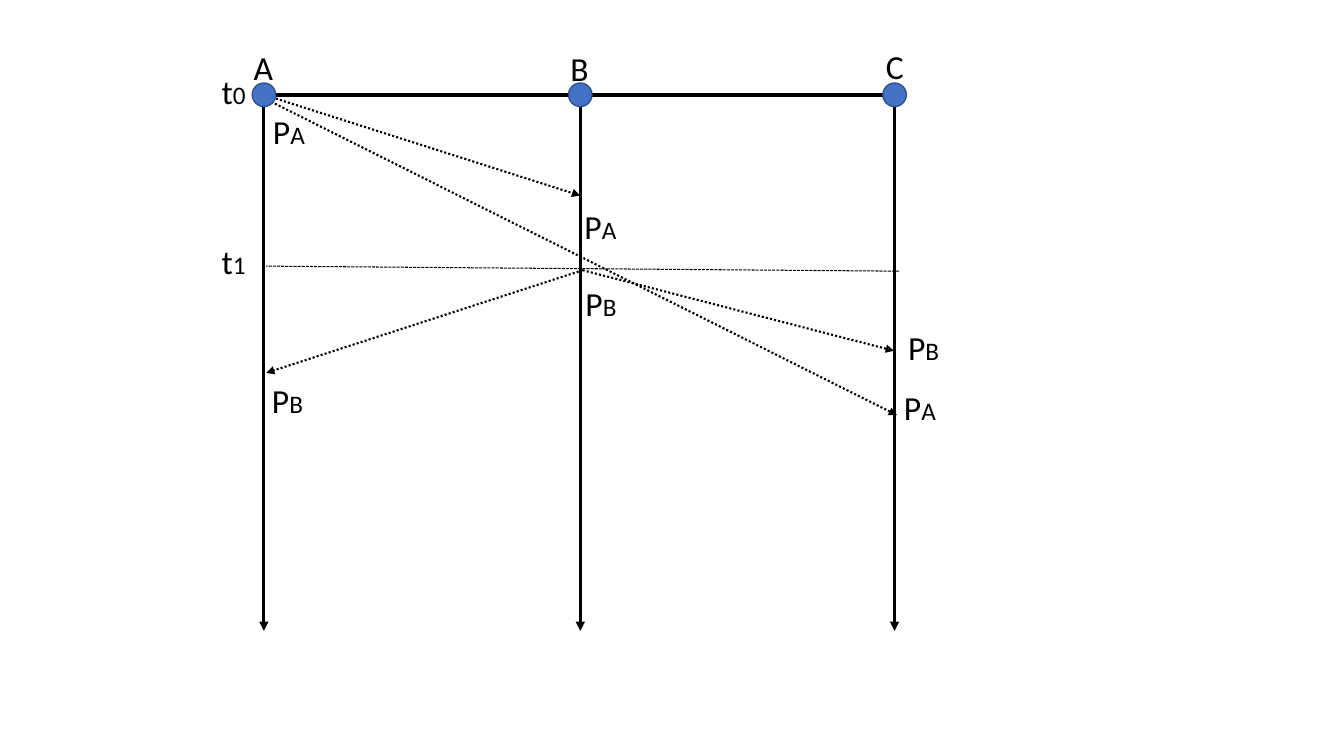
import pptx
import pptx.dml.color
import pptx.enum.dml
import pptx.enum.shapes
import pptx.enum.text
import pptx.util
from pptx.oxml.ns import qn
from lxml import etree

Pt = pptx.util.Pt
DASH = pptx.enum.dml.MSO_LINE
BLACK = pptx.dml.color.RGBColor(0x00, 0x00, 0x00)
NODE_FILL = pptx.dml.color.RGBColor(0x44, 0x72, 0xC4)
NODE_LINE = pptx.dml.color.RGBColor(0x2F, 0x52, 0x8F)

# Time axes of the three stations, in points
STATION_X = {"A": 188.5, "B": 414.5, "C": 639}
START_Y, END_Y = 67.7, 450.7
NODE_SIZE = 16.8

# Station name: left and top of its label
STATION_LABELS = {"A": (174.2, 30.2), "B": (400.3, 31), "C": (625.7, 29.5)}

# Packet paths: start x, start y, end x, end y
PACKET_PATHS = [
    (188.5, 67.7, 414.5, 139.7),
    (193.7, 72.7, 640.8, 296.6),
    (416.2, 193, 190.1, 266.4),
    (416.2, 193, 638.6, 250.6),
]

# Letter, smaller index, left, top
INDEXED_LABELS = [
    ("P", "B", 187.2, 267.8),
    ("P", "B", 641.5, 229.7),
    ("P", "A", 187.9, 75.6),
    ("P", "A", 638.6, 272.9),
    ("P", "B", 411.1, 198.7),
    ("P", "A", 410.4, 143.3),
    ("t", "1", 151.2, 168.5),
    ("t", "0", 151.2, 46.8),
]


def add_line(slide, start_x, start_y, end_x, end_y, width, dash=None, arrow=False):
    connector = slide.shapes.add_connector(
        pptx.enum.shapes.MSO_CONNECTOR.STRAIGHT,
        Pt(start_x), Pt(start_y), Pt(end_x), Pt(end_y))
    connector.line.color.rgb = BLACK
    connector.line.width = Pt(width)
    if dash is not None:
        connector.line.dash_style = dash
    properties = connector._element.spPr
    if arrow:
        outline = properties.find(qn("a:ln"))
        etree.SubElement(outline, qn("a:tailEnd"), type="triangle")
    etree.SubElement(properties, qn("a:effectLst"))


def add_node(slide, center_x, center_y):
    shape = slide.shapes.add_shape(
        pptx.enum.shapes.MSO_SHAPE.OVAL,
        Pt(center_x - NODE_SIZE / 2), Pt(center_y - NODE_SIZE / 2),
        Pt(NODE_SIZE), Pt(NODE_SIZE))
    shape.shadow.inherit = False
    shape.fill.solid()
    shape.fill.fore_color.rgb = NODE_FILL
    shape.line.color.rgb = NODE_LINE
    shape.line.width = Pt(1)


def add_run(paragraph, text, size=24, font="Calibri", color=BLACK):
    run = paragraph.add_run()
    run.text = text
    run.font.size = Pt(size)
    run.font.name = font
    run.font.color.rgb = color


def add_label(slide, left, top, text, index="", width=58.3):
    box = slide.shapes.add_textbox(Pt(left), Pt(top), Pt(width), Pt(36.3))
    box.text_frame.word_wrap = True
    box.text_frame.auto_size = pptx.enum.text.MSO_AUTO_SIZE.SHAPE_TO_FIT_TEXT
    paragraph = box.text_frame.paragraphs[0]
    add_run(paragraph, text)
    if index:
        add_run(paragraph, index, size=18)


def main():
    presentation = pptx.Presentation()
    presentation.slide_width, presentation.slide_height = Pt(960), Pt(540)
    slide = presentation.slides.add_slide(presentation.slide_layouts[6])

    # Time axes and the bus between neighbouring stations
    positions = list(STATION_X.values())
    for x in positions:
        add_line(slide, x, START_Y, x, END_Y, 2.25, arrow=True)
    for left, right in zip(positions, positions[1:]):
        add_line(slide, left, START_Y, right, START_Y, 3)

    # Packets on their way
    for packet_path in PACKET_PATHS:
        add_line(slide, *packet_path, 1.5, dash=DASH.ROUND_DOT, arrow=True)

    # Stations with their names
    for name, x in STATION_X.items():
        add_node(slide, x, START_Y)
        add_label(slide, *STATION_LABELS[name], name, width=100)

    # Packet and time labels, and the level of t1
    for text, index, left, top in INDEXED_LABELS:
        add_label(slide, left, top, text, index)
    add_line(slide, 642.2, 193.7, 190.1, 190.1, 0.75, dash=DASH.SQUARE_DOT)

    presentation.save("out.pptx")


if __name__ == "__main__":
    main()
